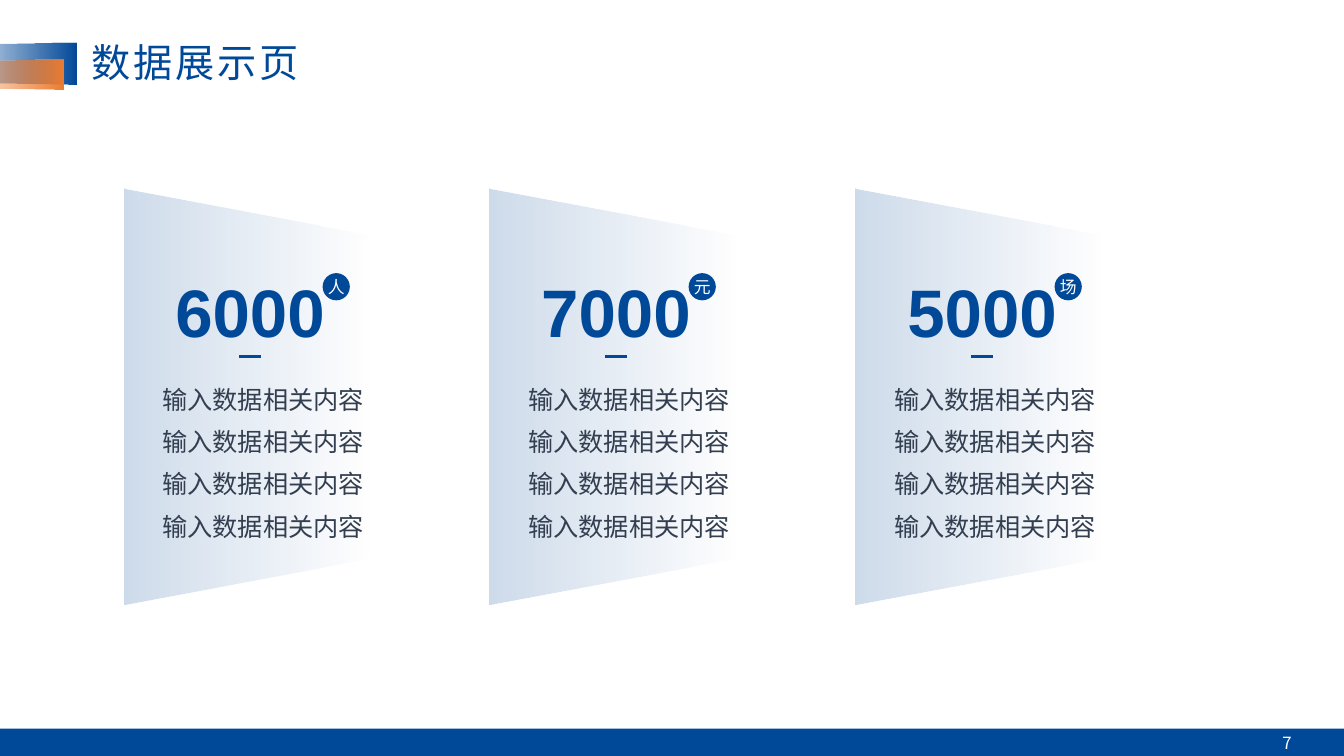
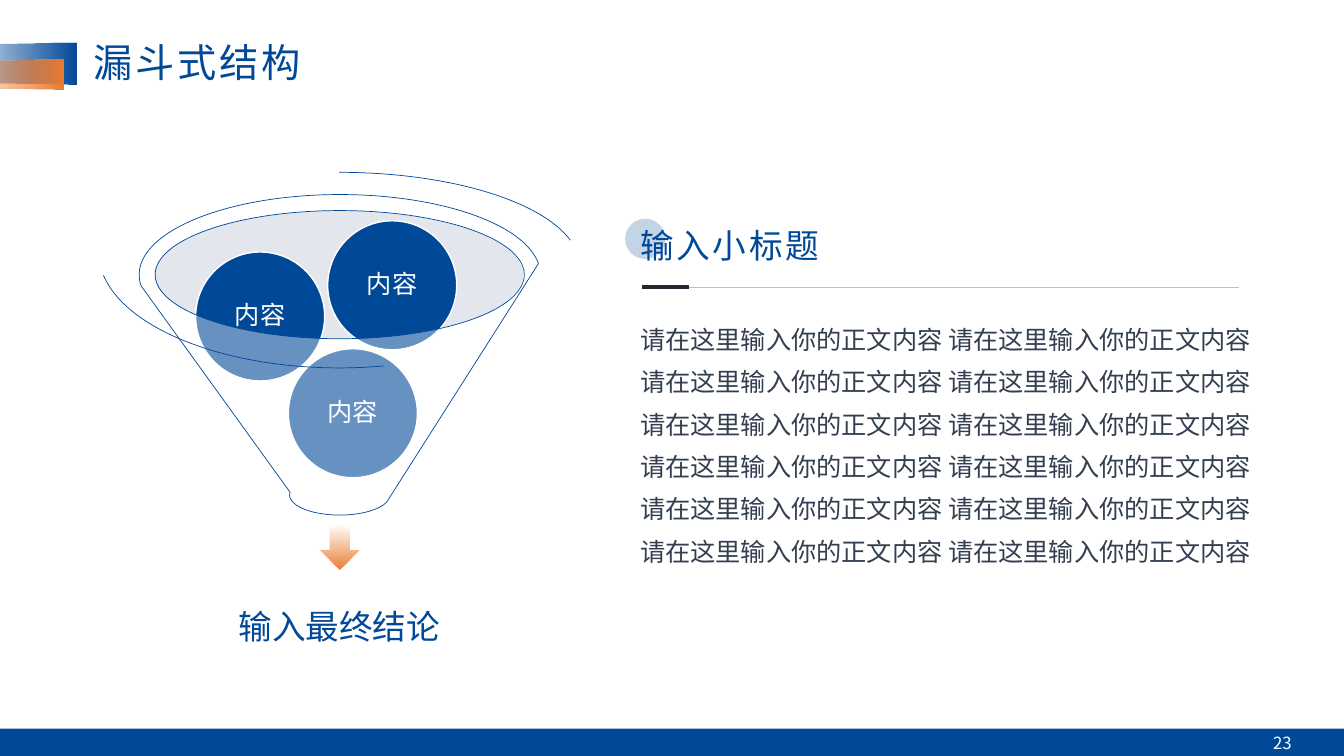
from lxml.etree import SubElement
from pptx import Presentation
from pptx.dml.color import RGBColor
from pptx.enum.shapes import MSO_CONNECTOR, MSO_SHAPE as Preset
from pptx.enum.text import MSO_ANCHOR as Anchor, PP_ALIGN as Align
from pptx.oxml.ns import qn
from pptx.util import Inches, Pt

COLORS = {
    "blue": "004898", "orange": "ED7D31", "slate": "333F50", "ink": "222A35",
    "grey": "BFBFBF", "mist": "BDC1D4", "white": "FFFFFF",
}
RGB = {name: RGBColor.from_string(value) for name, value in COLORS.items()}
CJK = "Noto Sans CJK JP"
WIDTH, HEIGHT = 13.33, 7.5


def draw(slide, preset, box, color=None, opacity=(100,), rotation=0,
         adjust=(), line=None, line_width=0.5):
    """Add a preset shape; two opacities make a fade from its top to its bottom."""
    shape = slide.shapes.add_shape(preset, *map(Inches, box))
    shape.shadow.inherit = False
    shape.rotation = rotation
    for index, value in enumerate(adjust):
        shape.adjustments[index] = value
    if color is None:
        shape.fill.background()
    elif len(opacity) == 1:
        shape.fill.solid()
        shape.fill.fore_color.rgb = RGB[color]
    else:
        shape.fill.gradient()
        shape.fill.gradient_angle = 270
        for stop in shape.fill.gradient_stops:
            stop.color.rgb = RGB[color]
    if color:
        for tint, percent in zip(shape.element.spPr.iter(qn("a:srgbClr")), opacity):
            if percent < 100:
                SubElement(tint, qn("a:alpha")).set("val", str(percent * 1000))
    if line:
        shape.line.color.rgb = RGB[line]
        shape.line.width = Pt(line_width)
    else:
        shape.line.fill.background()
    return shape


def write(shape, text, size, color, font=CJK, bold=False, align=Align.LEFT,
          anchor=Anchor.TOP, wrap=True, spacing=1.0, tracking=0, inset=None):
    frame = shape.text_frame
    frame.text = text
    frame.word_wrap = wrap
    frame.vertical_anchor = anchor
    if inset is not None:
        frame.margin_left = frame.margin_right = Inches(inset)
        frame.margin_top = frame.margin_bottom = Inches(inset)
    for paragraph in frame.paragraphs:
        paragraph.alignment = align
        paragraph.line_spacing = spacing
        for run in paragraph.runs:
            run.font.size = Pt(size)
            run.font.bold = bold
            run.font.color.rgb = RGB[color]
            run.font.name = font
            properties = run.font._element
            SubElement(properties, qn("a:ea")).set("typeface", font)
            if tracking:
                properties.set("spc", str(tracking * 100))


deck = Presentation()
deck.slide_width, deck.slide_height = Inches(WIDTH), Inches(HEIGHT)

# Title, corner ribbons and footer band shared by both slides
pages = []
for title, title_left, number in (("数据展示页", 0.81, 7), ("漏斗式结构", 0.83, 23)):
    page = deck.slides.add_slide(deck.slide_layouts[6])
    for ribbon, color in (((-0.12, -0.04, 0.41, 1.34), "blue"),
                          ((-0.09, 0.16, 0.29, 1.16), "orange")):
        draw(page, Preset.TRAPEZOID, ribbon, color, (0, 100), 270, (0.07,))
    draw(page, Preset.RECTANGLE, (0, 7.23, WIDTH, HEIGHT - 7.23), "blue")
    heading = page.shapes.add_textbox(*map(Inches, (title_left, 0.38, 7.96, 0.52)))
    write(heading, title, 28, "blue", anchor=Anchor.MIDDLE, spacing=0.9, tracking=2)
    page_number = page.shapes.add_textbox(*map(Inches, (9.91, 7.17, 3, 0.4)))
    write(page_number, str(number), 12, "white", align=Align.RIGHT, anchor=Anchor.MIDDLE)
    pages.append(page)
figures_page, funnel_page = pages
rules = []

# Three figures in equal columns
COLUMN_LEFT, COLUMN_PITCH = 1.23, 3.63
for column, (figure, unit) in enumerate((("6000", "人"), ("7000", "元"), ("5000", "场"))):
    left = COLUMN_LEFT + column * COLUMN_PITCH
    draw(figures_page, Preset.TRAPEZOID, (left - 0.82, 2.69, 4.13, 2.49),
         "blue", (0, 20), 90, (0.19,))
    value = figures_page.shapes.add_textbox(*map(Inches, (left + 0.4, 2.63, 1.7, 0.91)))
    write(value, figure, 48, "blue", "Arial", True, Align.CENTER, wrap=False)
    badge = draw(figures_page, Preset.OVAL, (left + 1.97, 2.71, 0.27, 0.27), "blue")
    write(badge, unit, 12, "white", "Roboto Condensed", align=Align.CENTER,
          anchor=Anchor.MIDDLE, wrap=False, inset=0)
    details = figures_page.shapes.add_textbox(*map(Inches, (left + 0.27, 3.64, 2.22, 1.75)))
    write(details, "\n".join(["输入数据相关内容"] * 4), 18, "slate",
          align=Align.CENTER, wrap=False, spacing=1.4)
    rules.append((figures_page, left + 1.14, left + 1.36, 3.54, "blue", 2))

# Funnel with its contents, swirl and conclusion
draw(funnel_page, Preset.OVAL, (1.53, 2.09, 3.66, 1.27), "mist", (40,))
draw(funnel_page, Preset.DOWN_ARROW, (3.17, 5.2, 0.4, 0.45), "orange", (0, 100))
conclusion = funnel_page.shapes.add_textbox(*map(Inches, (1.66, 5.79, 3.41, 0.85)))
write(conclusion, "输入最终结论", 24, "blue", align=Align.CENTER,
      anchor=Anchor.MIDDLE, inset=0.19)
for ball_left, ball_top in ((2.86, 3.46), (1.94, 2.5), (3.25, 2.19)):
    ball = draw(funnel_page, Preset.OVAL, (ball_left, ball_top, 1.28, 1.28),
                "blue", line="white", line_width=1)
    write(ball, "内容", 18, "white", align=Align.CENTER, anchor=Anchor.MIDDLE,
          spacing=0.9, inset=0.03)
draw(funnel_page, Preset.FUNNEL, (1.38, 1.93, 3.98, 3.18), "white", (40,), line="blue")
for swirl_top, swirl_height, angles in ((1.71, 1.86, (162, 212.17)),
                                        (1.36, 2.29, (41.18, 104.68))):
    draw(funnel_page, Preset.ARC, (0.98, swirl_top, 4.77, swirl_height),
         adjust=angles, line="blue")

# Subtitle and body text
draw(funnel_page, Preset.OVAL, (6.2, 2.17, 0.4, 0.4), "blue", (23,))
subtitle = funnel_page.shapes.add_textbox(*map(Inches, (6.25, 2.18, 2.98, 0.5)))
write(subtitle, "输入小标题", 24, "blue", tracking=2)
body = funnel_page.shapes.add_textbox(*map(Inches, (6.25, 3.05, 6.34, 2.6)))
write(body, "\n".join(["请在这里输入你的正文内容 请在这里输入你的正文内容"] * 6),
      18, "slate", wrap=False, spacing=1.4)
rules += [(funnel_page, 6.71, 12.29, 2.85, "grey", 0.5),
          (funnel_page, 6.37, 6.83, 2.85, "ink", 3)]

for page, start, end, level, color, weight in rules:
    rule = page.shapes.add_connector(
        MSO_CONNECTOR.STRAIGHT, *map(Inches, (start, level, end, level)))
    rule.line.color.rgb = RGB[color]
    rule.line.width = Pt(weight)
    SubElement(rule.element.spPr, qn("a:effectLst"))

deck.save("out.pptx")
